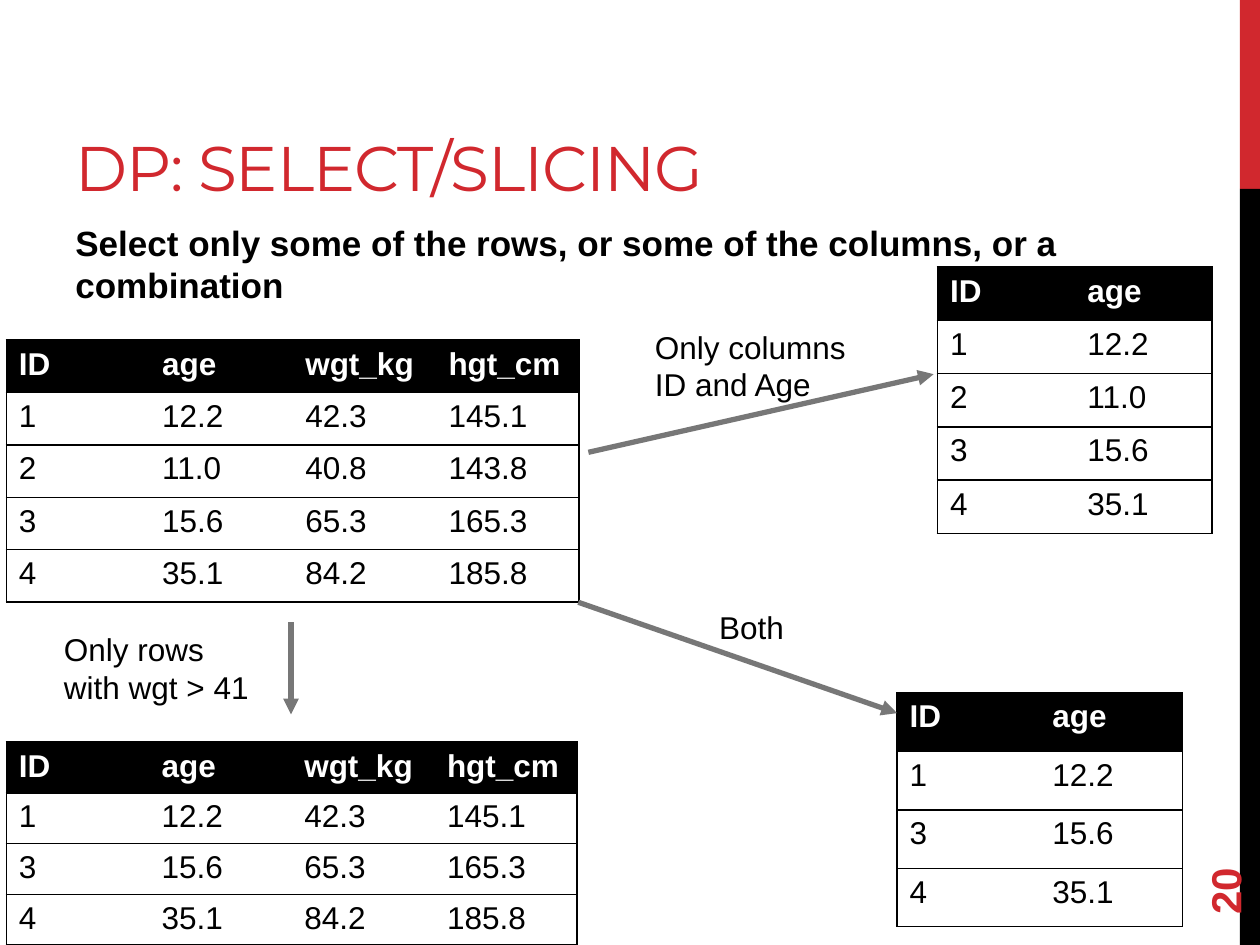
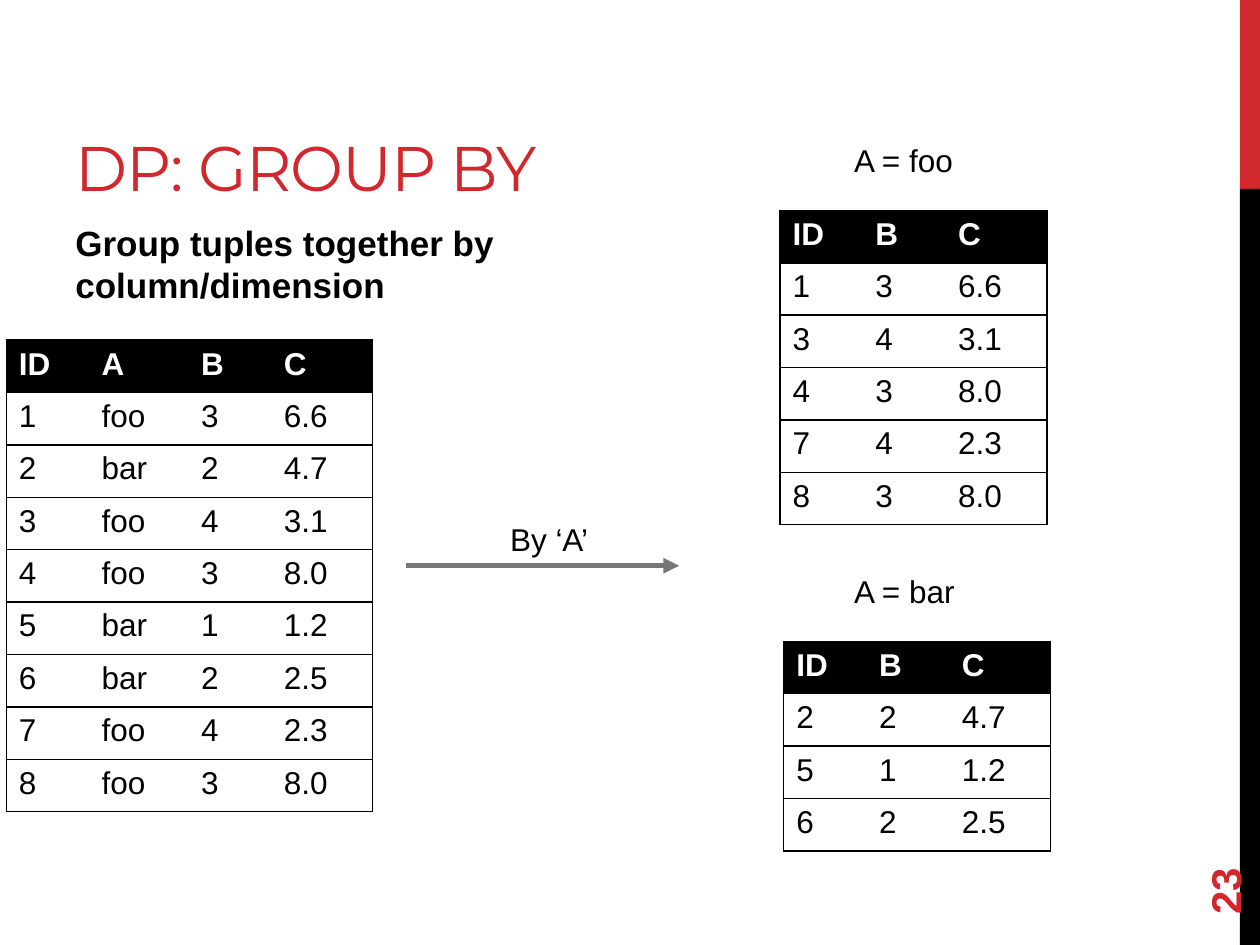
import dataclasses

import lxml.etree
import pptx
import pptx.dml.color
import pptx.enum.shapes
import pptx.enum.text
import pptx.oxml.ns
import pptx.util

qn = pptx.oxml.ns.qn
ANCHOR = pptx.enum.text.MSO_ANCHOR


@dataclasses.dataclass(frozen=True)
class Theme:
    red: str = "D1282E"
    black: str = "000000"
    white: str = "FFFFFF"
    gray: str = "777777"
    head: str = "Montserrat"
    body: str = "Arial"
    title: int = 36
    lead: int = 20
    text: int = 18
    page: int = 24
    rule: int = 1
    arrow: int = 3


THEME = Theme()

# The slide is a grid of 100 columns by 75 rows
WIDE, HIGH = pptx.util.Inches(10), pptx.util.Inches(7.5)
COLS, ROWS = 100, 75
EDGE = 98.4  # column where the side band starts
SPLIT = 15  # row where the band turns black


def col(n):
    return round(WIDE * n / COLS)


def row(n):
    return round(HIGH * n / ROWS)


def place(left, top, width, height):
    return col(left), row(top), col(width), row(height)


def tint(code):
    return pptx.dml.color.RGBColor.from_string(code)


# Text
def add_run(para, text, size=THEME.text, color=THEME.black, bold=False, face=THEME.body):
    run = para.add_run()
    run.text = text
    font = run.font
    font.size, font.bold, font.name = pptx.util.Pt(size), bold, face
    font.color.rgb = tint(color)
    return run


def add_text(slide, box, *lines, wrap=True, anchor=ANCHOR.TOP, **style):
    shape = slide.shapes.add_textbox(*place(*box))
    frame = shape.text_frame
    frame.word_wrap, frame.vertical_anchor = wrap, anchor
    for i, line in enumerate(lines):
        para = frame.add_paragraph() if i else frame.paragraphs[0]
        add_run(para, line, **style)
    return shape


# Bands, title, lead line and page number
def add_band(slide, top, height, color):
    kind = pptx.enum.shapes.MSO_SHAPE.RECTANGLE
    band = slide.shapes.add_shape(kind, *place(EDGE, top, COLS - EDGE, height))
    band.shadow.inherit = False
    band.fill.solid()
    band.fill.fore_color.rgb = tint(color)
    band.line.fill.background()


def add_slide(deck, title, lead, span, page):
    slide = deck.slides.add_slide(deck.slide_layouts[6])
    add_band(slide, 0, SPLIT, THEME.red)
    add_band(slide, SPLIT, ROWS - SPLIT, THEME.black)
    head = add_text(slide, (5, 1.7, 71.2, 15), title, anchor=ANCHOR.BOTTOM,
                    size=THEME.title, color=THEME.red, face=THEME.head)
    head.text_frame.paragraphs[0].runs[0].font._element.set("spc", "-60")
    add_text(slide, (5, 17.1, span, 8.2), lead, size=THEME.lead, bold=True)
    mark = add_text(slide, (90, 64.4, 14.4, 4), page, anchor=ANCHOR.MIDDLE,
                    size=THEME.page, color=THEME.red, bold=True)
    mark.rotation = 270
    return slide


# Tables: ruled rows in an outer frame, with no upright rules inside
def add_edge(cell, side, shown):
    width = str(pptx.util.Pt(THEME.rule))
    line = lxml.etree.SubElement(cell._tc.get_or_add_tcPr(), qn("a:ln" + side), w=width)
    if shown:
        fill = lxml.etree.SubElement(line, qn("a:solidFill"))
        lxml.etree.SubElement(fill, qn("a:srgbClr"), val=THEME.black)
    else:
        lxml.etree.SubElement(line, qn("a:noFill"))


def add_grid(slide, left, top, widths, step, data):
    box = place(left, top, sum(widths), step * len(data))
    grid = slide.shapes.add_table(len(data), len(widths), *box).table
    grid.first_row = grid.horz_banding = False
    for i, width in enumerate(widths):
        grid.columns[i].width = col(width)
    for r, line in enumerate(data):
        grid.rows[r].height = row(step)
        for c, text in enumerate(line):
            cell = grid.cell(r, c)
            edges = {"L": c == 0, "R": c == len(widths) - 1, "T": True, "B": True}
            for side, shown in edges.items():
                add_edge(cell, side, shown)
            top_row = r == 0
            cell.fill.solid()
            cell.fill.fore_color.rgb = tint(THEME.black if top_row else THEME.white)
            add_run(cell.text_frame.paragraphs[0], text, bold=top_row,
                    color=THEME.white if top_row else THEME.black)


def add_arrow(slide, x1, y1, x2, y2):
    kind = pptx.enum.shapes.MSO_CONNECTOR.STRAIGHT
    arrow = slide.shapes.add_connector(kind, col(x1), row(y1), col(x2), row(y2))
    arrow.line.width = pptx.util.Pt(THEME.arrow)
    arrow.line.color.rgb = tint(THEME.gray)
    lxml.etree.SubElement(arrow.line._get_or_add_ln(), qn("a:tailEnd"), type="triangle")
    lxml.etree.SubElement(arrow._element.spPr, qn("a:effectLst"))


# Picking rows and columns from a table
def pick(data, names):
    spots = [data[0].index(name) for name in names]
    return [[line[i] for i in spots] for line in data]


def keep(data, test):
    return data[:1] + [line for line in data[1:] if test(line)]


PEOPLE = [
    ["ID", "age", "wgt_kg", "hgt_cm"],
    ["1", "12.2", "42.3", "145.1"],
    ["2", "11.0", "40.8", "143.8"],
    ["3", "15.6", "65.3", "165.3"],
    ["4", "35.1", "84.2", "185.8"],
]
TUPLES = [
    ["ID", "A", "B", "C"],
    ["1", "foo", "3", "6.6"],
    ["2", "bar", "2", "4.7"],
    ["3", "foo", "4", "3.1"],
    ["4", "foo", "3", "8.0"],
    ["5", "bar", "1", "1.2"],
    ["6", "bar", "2", "2.5"],
    ["7", "foo", "4", "2.3"],
    ["8", "foo", "3", "8.0"],
]


def draw_select(deck):
    slide = add_slide(deck, "DP: SELECT/SLICING",
                      "Select only some of the rows, or some of the columns, or a combination",
                      83.3, "20")
    heavy = keep(PEOPLE, lambda line: float(line[2]) > 41)
    pair = ["ID", "age"]
    add_grid(slide, 0.5, 27, [11.37] * 4, 4.16, PEOPLE)
    add_grid(slide, 74.4, 21.2, [10.9] * 2, 4.23, pick(PEOPLE, pair))
    add_text(slide, (51, 25.5, 17.3, 7.1), "Only columns", "ID and Age", wrap=False)
    add_text(slide, (4.1, 49.5, 17.7, 7.1), "Only rows with wgt > 41")
    add_text(slide, (56.1, 47.8, 7.2, 4), "Both", wrap=False)
    add_grid(slide, 0.5, 58.9, [11.33] * 4, 4.03, heavy)
    add_grid(slide, 71.2, 55, [11.33] * 2, 4.64, pick(heavy, pair))
    add_arrow(slide, 23.1, 49.4, 23.1, 56.7)
    add_arrow(slide, 45.9, 47.8, 71.2, 56.6)
    add_arrow(slide, 46.7, 35.9, 74.1, 29.7)


def draw_group(deck):
    slide = add_slide(deck, "DP: GROUP BY",
                      "Group tuples together by column/dimension", 56.6, "23")
    slim, mid, broad, step = 6.57, 7.9, 8.05, 4.16
    add_grid(slide, 0.5, 27, [slim, mid, slim, broad], step, TUPLES)
    # One table for each value of A, its label above it
    for key, left, top in (("foo", 61.9, 16.7), ("bar", 62.2, 50.9)):
        group = keep(TUPLES, lambda line: line[1] == key)
        add_grid(slide, left, top, [slim, slim, broad], step, pick(group, ["ID", "B", "C"]))
        add_text(slide, (66.8, top - 6, 10, 4), f"A = {key}", wrap=False)
    add_text(slide, (39.5, 40.8, 12.3, 4), "By ‘A’")
    add_arrow(slide, 32.2, 44.9, 53.9, 44.9)


def main():
    deck = pptx.Presentation()
    deck.slide_width, deck.slide_height = WIDE, HIGH
    draw_select(deck)
    draw_group(deck)
    deck.save("out.pptx")


if __name__ == "__main__":
    main()
